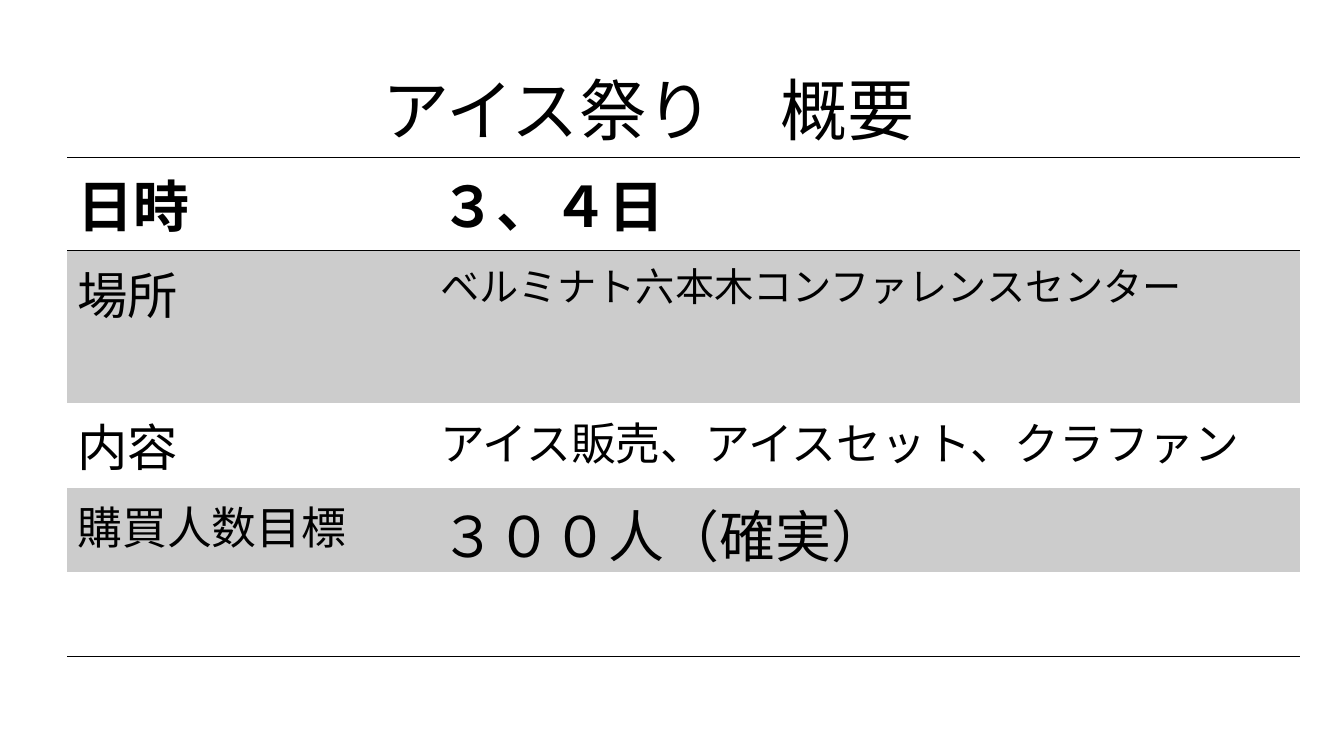
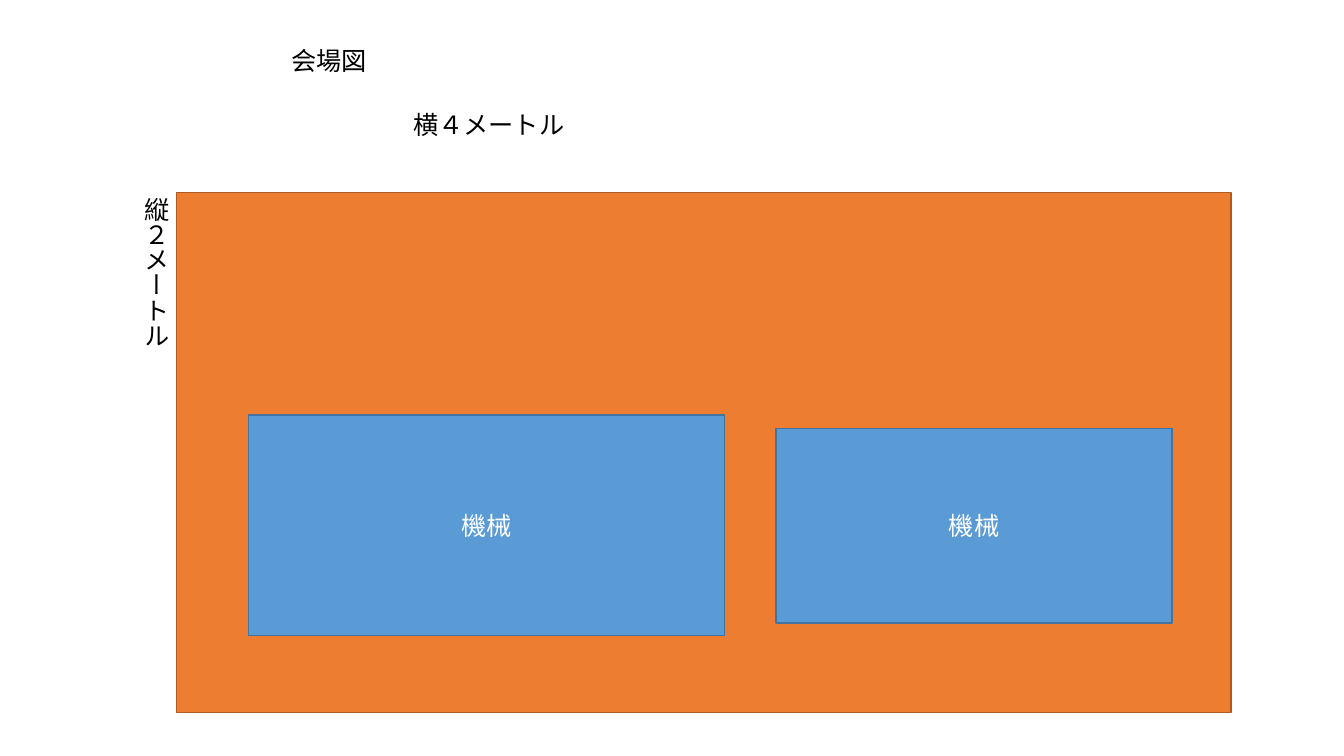
from dataclasses import dataclass

from lxml import etree
from pptx import Presentation
from pptx import util as u
from pptx.dml import color
from pptx.enum import shapes, text
from pptx.oxml import ns

FONT = "Noto Sans CJK JP"
COLORS = {
    "text": "000000",
    "band": "CCCCCC",
    "venue": "ED7D31",
    "venue_line": "AF5C24",
    "machine": "5B9BD5",
    "machine_line": "43739E",
    "white": "FFFFFF",
}
NO_STYLE_TABLE = "{2D5ABB26-0587-4C30-8999-92F81FD0307C}"


@dataclass(frozen=True)
class Box:
    left: float
    top: float
    width: float
    height: float

    def lengths(self) -> tuple:
        return tuple(u.Cm(v) for v in (self.left, self.top, self.width, self.height))


@dataclass(frozen=True)
class Label:
    box: Box
    words: str
    size: int = 18
    vertical: bool = False


@dataclass(frozen=True)
class Block:
    box: Box
    kind: str
    words: str = ""


@dataclass(frozen=True)
class Row:
    height: float
    cells: tuple = ()
    sizes: tuple = ()
    bold: bool = False
    banded: bool = False
    borders: tuple = ()


TITLE = Label(Box(9.4, 1.6, 14.96, 2.31), "アイス祭り　概要", 48)
TABLE_LEFT, TABLE_TOP = 1.7, 3.96
COLUMN_WIDTHS = (9.14, 21.92)
ROWS = (
    Row(2.36, ("日時", "３、４日"), (40, 40), bold=True, borders=("lnT", "lnB")),
    Row(3.84, ("場所", "ベルミナト六本木コンファレンスセンター"), (36, 28), banded=True),
    Row(2.13, ("内容", "アイス販売、アイスセット、クラファン"), (36, 32)),
    Row(2.13, ("購買人数目標", "３００人（確実）"), (32, 40), banded=True),
    Row(2.13, borders=("lnB",)),
)
BLOCKS = (
    Block(Box(4.45, 4.85, 26.57, 13.11), "venue"),
    Block(Box(6.27, 10.46, 11.99, 5.56), "machine", "機械"),
    Block(Box(19.56, 10.8, 9.98, 4.9), "machine", "機械"),
)
LABELS = (
    Label(Box(7.09, 1.02, 10.06, 1.02), "会場図"),
    Label(Box(10.16, 2.64, 15.14, 1.02), "横４メートル"),
    Label(Box(3.18, 4.72, 1.27, 7.14), "縦２メートル", vertical=True),
)


def rgb(name: str) -> color.RGBColor:
    return color.RGBColor.from_string(COLORS[name])


def write(tf, words: str, size: int, ink: str = "text", bold: bool = False) -> None:
    p = tf.paragraphs[0]
    p.add_run().text = words
    p.font.size = u.Pt(size)
    p.font.bold = bold
    p.font.color.rgb = rgb(ink)
    p.font.name = FONT
    def_rpr = p._p.pPr.find(ns.qn("a:defRPr"))
    etree.SubElement(def_rpr, ns.qn("a:ea"), typeface=FONT)


def add_label(s, label: Label) -> None:
    tf = s.shapes.add_textbox(*label.box.lengths()).text_frame
    tf.word_wrap = True
    tf.auto_size = text.MSO_AUTO_SIZE.SHAPE_TO_FIT_TEXT
    if label.vertical:
        tf._txBody.bodyPr.set("vert", "eaVert")
    write(tf, label.words, label.size)


def add_block(s, block: Block) -> None:
    sp = s.shapes.add_shape(shapes.MSO_SHAPE.RECTANGLE, *block.box.lengths())
    sp.shadow.inherit = False
    sp.fill.solid()
    sp.fill.fore_color.rgb = rgb(block.kind)
    sp.line.color.rgb = rgb(f"{block.kind}_line")
    sp.line.width = u.Pt(1)
    if block.words:
        tf = sp.text_frame
        tf.vertical_anchor = text.MSO_ANCHOR.MIDDLE
        tf.paragraphs[0].alignment = text.PP_ALIGN.CENTER
        write(tf, block.words, 18, "white")


def add_border(cell, edge: str) -> None:
    ln = etree.SubElement(cell._tc.get_or_add_tcPr(), ns.qn(f"a:{edge}"), w=str(u.Pt(1)))
    fill = etree.SubElement(ln, ns.qn("a:solidFill"))
    etree.SubElement(fill, ns.qn("a:srgbClr"), val=COLORS["text"])


def add_overview_table(s) -> None:
    box = Box(TABLE_LEFT, TABLE_TOP, sum(COLUMN_WIDTHS), sum(r.height for r in ROWS))
    table = s.shapes.add_table(len(ROWS), len(COLUMN_WIDTHS), *box.lengths()).table
    table.first_row = table.horz_banding = False
    table._tbl.tblPr.find(ns.qn("a:tableStyleId")).text = NO_STYLE_TABLE
    for column, width in zip(table.columns, COLUMN_WIDTHS):
        column.width = u.Cm(width)
    for table_row, row in zip(table.rows, ROWS):
        table_row.height = u.Cm(row.height)
        for cell in table_row.cells:
            for edge in row.borders:
                add_border(cell, edge)
            if row.banded:
                cell.fill.solid()
                cell.fill.fore_color.rgb = rgb("band")
            else:
                cell.fill.background()
        for cell, words, size in zip(table_row.cells, row.cells, row.sizes):
            write(cell.text_frame, words, size, bold=row.bold)


def main() -> None:
    prs = Presentation()
    prs.slide_width, prs.slide_height = u.Cm(33.87), u.Cm(19.05)
    blank = prs.slide_layouts[6]

    overview = prs.slides.add_slide(blank)
    add_label(overview, TITLE)
    add_overview_table(overview)

    venue = prs.slides.add_slide(blank)
    for block in BLOCKS:
        add_block(venue, block)
    for label in LABELS:
        add_label(venue, label)

    prs.save("out.pptx")


if __name__ == "__main__":
    main()
